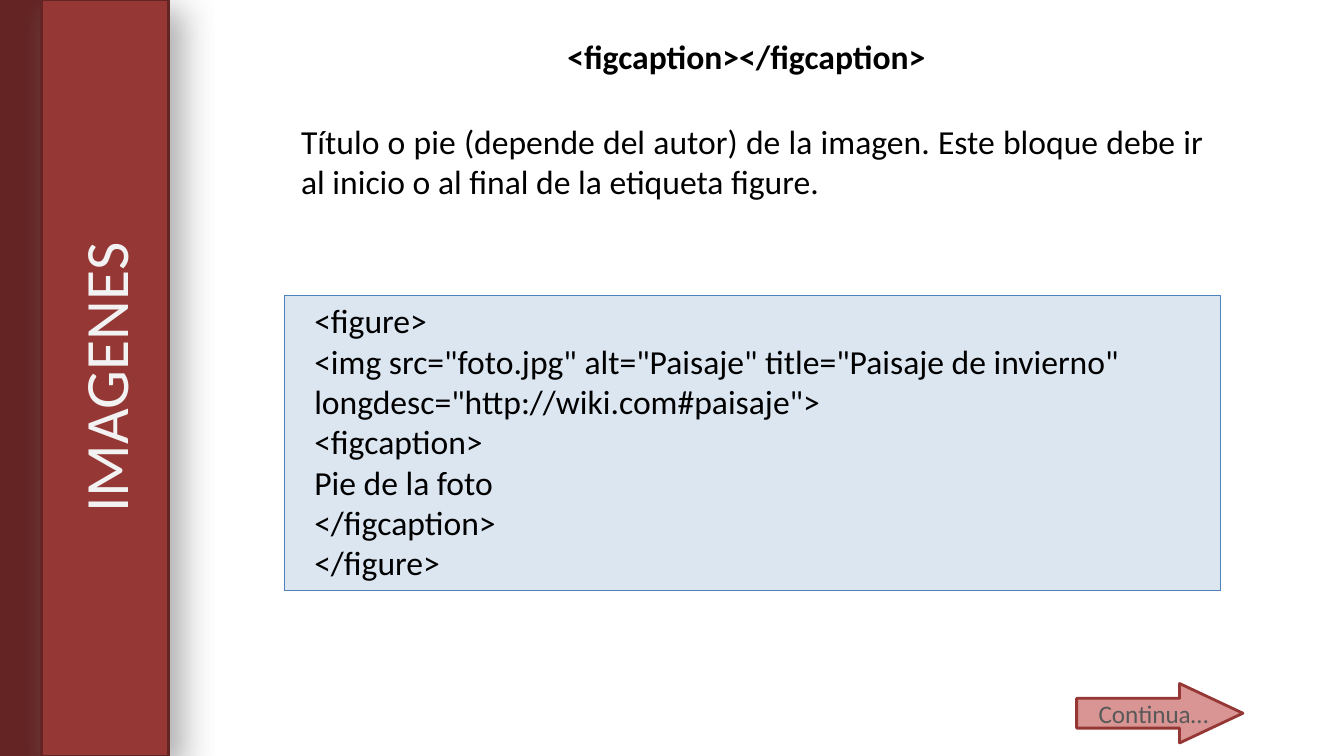
import pptx
import pptx.dml.color
import pptx.enum.shapes
import pptx.enum.text
import pptx.oxml
import pptx.oxml.ns
import pptx.util

Pt = pptx.util.Pt
RGB = pptx.dml.color.RGBColor
KIND = pptx.enum.shapes.MSO_SHAPE
ALIGN = pptx.enum.text.PP_ALIGN
ANCHOR = pptx.enum.text.MSO_ANCHOR
FIT = pptx.enum.text.MSO_AUTO_SIZE

FONT = "Calibri"
BLACK = RGB(0, 0, 0)
WHITE = RGB(0xFF, 0xFF, 0xFF)
PALE = RGB(0xF2, 0xF2, 0xF2)
GREY = RGB(0x59, 0x59, 0x59)
SHADE = RGB(0x7F, 0x7F, 0x7F)
DARK = RGB(0x63, 0x24, 0x23)
RED = RGB(0x95, 0x37, 0x34)
PINK = RGB(0xD9, 0x95, 0x93)
SKY = RGB(0xDA, 0xE5, 0xF1)
BLUE = RGB(0x4F, 0x81, 0xBD)

CODE = """<figure>
<img src="foto.jpg" alt="Paisaje" title="Paisaje de invierno"
longdesc="http://wiki.com#paisaje">
<figcaption>
Pie de la foto
</figcaption>
</figure>"""


def add_xml(host, tag, **attrs):
    child = pptx.oxml.parse_xml(f"<a:{tag} {pptx.oxml.ns.nsdecls('a')}/>")
    for name, value in attrs.items():
        child.set(name, str(value))
    host.append(child)
    return child


def write(shape, text, size=24, color=BLACK, bold=False, align=ALIGN.LEFT,
          anchor=ANCHOR.TOP, indent=0, fit=FIT.SHAPE_TO_FIT_TEXT):
    frame = shape.text_frame
    frame.word_wrap = True
    frame.auto_size = fit
    frame.vertical_anchor = anchor
    frame.text = text
    for para in frame.paragraphs:
        para.alignment = align
        if indent:
            para._p.get_or_add_pPr().set("marL", str(Pt(indent)))
        font = para.runs[0].font
        font.name = FONT
        font.size = Pt(size)
        font.bold = bold
        font.color.rgb = color


def add_box(slide, *place):
    return slide.shapes.add_textbox(*map(Pt, place))


def add_form(slide, kind, place, fill, line, width=2):
    form = slide.shapes.add_shape(kind, *map(Pt, place))
    form.fill.solid()
    form.fill.fore_color.rgb = fill
    form.line.color.rgb = line
    form.line.width = Pt(width)
    form.shadow.inherit = False
    return form


def add_bar(slide, left, fill):
    bar = add_form(slide, KIND.RECTANGLE, (left, 0, 90.7, 540), fill, DARK)
    effects = bar._element.spPr.find(pptx.oxml.ns.qn("a:effectLst"))
    shadow = add_xml(effects, "outerShdw", blurRad=Pt(24), dist=Pt(11),
                     dir=45 * 60000, rotWithShape=0)
    color = add_xml(shadow, "srgbClr", val=SHADE)
    add_xml(color, "alpha", val=65000)


def add_code(slide):
    panel = add_form(slide, KIND.RECTANGLE, (203, 211, 668.9, 211),
                     SKY, BLUE, 0.75)
    solid = panel._element.spPr.find(pptx.oxml.ns.qn("a:solidFill"))
    add_xml(solid[0], "alpha", val=94000)
    write(panel, CODE, indent=14.4)


def add_next(slide):
    arrow = add_form(slide, KIND.RIGHT_ARROW, (769, 488.2, 118.8, 42.5),
                     PINK, RED)
    arrow.adjustments[1] = 1.065
    write(add_box(slide, 777.6, 495.4, 102.2, 28.8), "Continua…",
          size=18, color=GREY)


def main():
    deck = pptx.Presentation()
    deck.slide_width, deck.slide_height = Pt(960), Pt(540)
    slide = deck.slides.add_slide(deck.slide_layouts[6])
    slide.background.fill.solid()
    slide.background.fill.fore_color.rgb = WHITE

    # Side band with the topic turned upwards
    for left, fill in ((-2.2, DARK), (29.5, RED)):
        add_bar(slide, left, fill)
    topic = add_box(slide, -195.8, 224.6, 540, 90)
    topic.rotation = 270
    write(topic, "IMAGENES", size=44, color=PALE, align=ALIGN.CENTER,
          anchor=ANCHOR.MIDDLE, fit=FIT.NONE)

    # Link to the next slide
    add_next(slide)

    # Tag and its meaning
    write(add_box(slide, 187.2, 22.3, 691.9, 36),
          "<figcaption></figcaption>", bold=True, align=ALIGN.CENTER)
    write(add_box(slide, 208, 82.8, 658.8, 65.5),
          "Título o pie (depende del autor) de la imagen. Este bloque debe ir "
          "al inicio o al final de la etiqueta figure.", align=ALIGN.JUSTIFY)

    # Sample code
    add_code(slide)
    deck.save("out.pptx")


if __name__ == "__main__":
    main()
